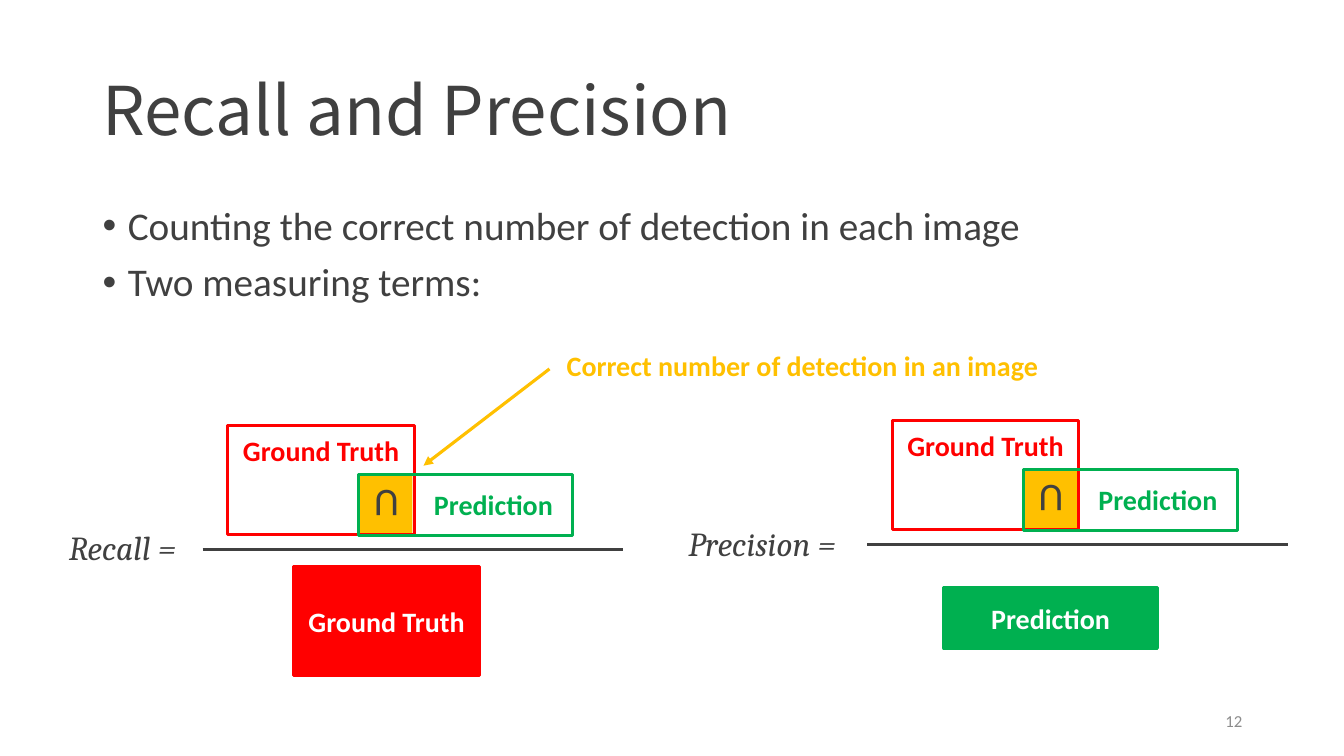
"""Build the recall and precision slide."""
from lxml.etree import SubElement
from pptx import Presentation
from pptx.dml.color import RGBColor
from pptx.enum.shapes import MSO_CONNECTOR, MSO_SHAPE
from pptx.enum.text import MSO_ANCHOR, PP_ALIGN
from pptx.oxml.ns import qn
from pptx.util import Inches, Pt

INK, GREY, WHITE = "404040", "8C8C8C", "FFFFFF"
RED, GREEN, AMBER = "FF0000", "00B050", "FFC000"
TITLE = "Recall and Precision"
BULLETS = ["Counting the correct number of detection in each image", "Two measuring terms:"]
CALLOUT = "Correct number of detection in an image"
PAGE_NUMBER = "12"
TRUTH = {"text": "Ground Truth", "color": RED, "size": (1.85, 1.08)}
PREDICTION = {"text": "Prediction", "color": GREEN, "size": (2.12, 0.6)}
FORMULAS = [
    {"name": "Recall = ", "name_at": (0.49, 5.11, 1.52, 0.64),
     "origin": (2.26, 4.22), "divisor": TRUTH, "divisor_at": (2.91, 5.62)},
    {"name": "Precision = ", "name_at": (6.59, 5.07, 2.01, 0.64),
     "origin": (8.85, 4.17), "divisor": PREDICTION, "divisor_at": (9.36, 5.83)},
]


def rgb(color):
    return RGBColor.from_string(color)


def write(shape, lines, size=20, color=INK, font="Calibri", bold=False, italic=False,
          align=PP_ALIGN.CENTER, anchor=MSO_ANCHOR.MIDDLE, spacing=1.0, before=0,
          bullet=False, side=0.1, wrap=True):
    frame = shape.text_frame
    frame.word_wrap = wrap
    frame.vertical_anchor = anchor
    frame.margin_left = frame.margin_right = Inches(side)
    for index, line in enumerate(lines):
        para = frame.paragraphs[0] if index == 0 else frame.add_paragraph()
        para.alignment, para.line_spacing = align, spacing
        para.space_before = Pt(before if index else 0)
        if bullet:
            properties = para._p.get_or_add_pPr()
            properties.set("marL", str(Inches(0.25)))
            properties.set("indent", str(Inches(-0.25)))
            SubElement(properties, qn("a:buFont"), typeface="Arial")
            SubElement(properties, qn("a:buChar"), char="•")
        span = para.add_run()
        span.text = line
        span.font.name, span.font.size = font, Pt(size)
        span.font.bold, span.font.italic = bold, italic
        span.font.color.rgb = rgb(color)


def add_text(page, place, *lines, **style):
    box = page.shapes.add_textbox(*map(Inches, place))
    write(box, lines, **style)
    return box


def add_box(page, place, fill=None, line=None):
    box = page.shapes.add_shape(MSO_SHAPE.RECTANGLE, *map(Inches, place))
    box.shadow.inherit = False
    if fill:
        box.fill.solid()
        box.fill.fore_color.rgb = rgb(fill)
    else:
        box.fill.background()
    if line:
        box.line.color.rgb = rgb(line)
        box.line.width = Pt(2.25)
    else:
        box.line.fill.background()
    return box


def add_line(page, start, end, color, arrow=False):
    line = page.shapes.add_connector(MSO_CONNECTOR.STRAIGHT, *map(Inches, start + end))
    line.line.color.rgb = rgb(color)
    line.line.width = Pt(2.25)
    if arrow:
        SubElement(line.line._get_or_add_ln(), qn("a:tailEnd"), type="triangle")
    SubElement(line._element.spPr, qn("a:effectLst"))


def add_formula(page, formula):
    left, top = formula["origin"]

    def place(across, down, width, height):
        return left + across, top + down, width, height

    add_text(page, formula["name_at"], formula["name"], size=24, font="Cambria", italic=True)
    add_box(page, place(1.31, 0.5, 0.52, 0.57), fill=AMBER)
    add_box(page, place(0, 0, *TRUTH["size"]), line=RED)
    add_text(page, place(0.02, 0.08, 1.81, 0.34), TRUTH["text"], color=RED, bold=True, side=0)
    add_box(page, place(1.3, 0.49, *PREDICTION["size"]), line=GREEN)
    add_text(page, place(1.92, 0.61, 1.43, 0.34), PREDICTION["text"],
             color=GREEN, bold=True, side=0)
    bar = top + 1.23
    add_line(page, (left - 0.25, bar), (left + 3.92, bar), INK)
    overlap = add_text(page, place(1.35, 0.51, 0.45, 0.57), "U", size=28,
                       anchor=MSO_ANCHOR.TOP, wrap=False)
    overlap.rotation = 180
    divisor = formula["divisor"]
    box = add_box(page, formula["divisor_at"] + divisor["size"],
                  fill=divisor["color"], line=divisor["color"])
    write(box, [divisor["text"]], color=WHITE, bold=True)


def main():
    deck = Presentation()
    deck.slide_width, deck.slide_height = Inches(13.33), Inches(7.5)
    page = deck.slides.add_slide(deck.slide_layouts[6])
    add_text(page, (0.92, 0.4, 11.5, 1.45), TITLE, size=48, font="Noto Sans CJK JP",
             align=PP_ALIGN.LEFT, spacing=0.9)
    add_text(page, (0.92, 2, 11.5, 4.76), *BULLETS, size=28, align=PP_ALIGN.LEFT,
             anchor=MSO_ANCHOR.TOP, spacing=0.9, before=10, bullet=True)
    add_text(page, (9.42, 6.95, 3, 0.4), PAGE_NUMBER, size=12, color=GREY,
             align=PP_ALIGN.RIGHT)
    for formula in FORMULAS:
        add_formula(page, formula)
    add_line(page, (5.45, 3.66), (4.2, 4.62), AMBER, arrow=True)
    add_text(page, (5.47, 3.41, 4.98, 0.42), CALLOUT, color=AMBER, bold=True)
    deck.save("out.pptx")


if __name__ == "__main__":
    main()
